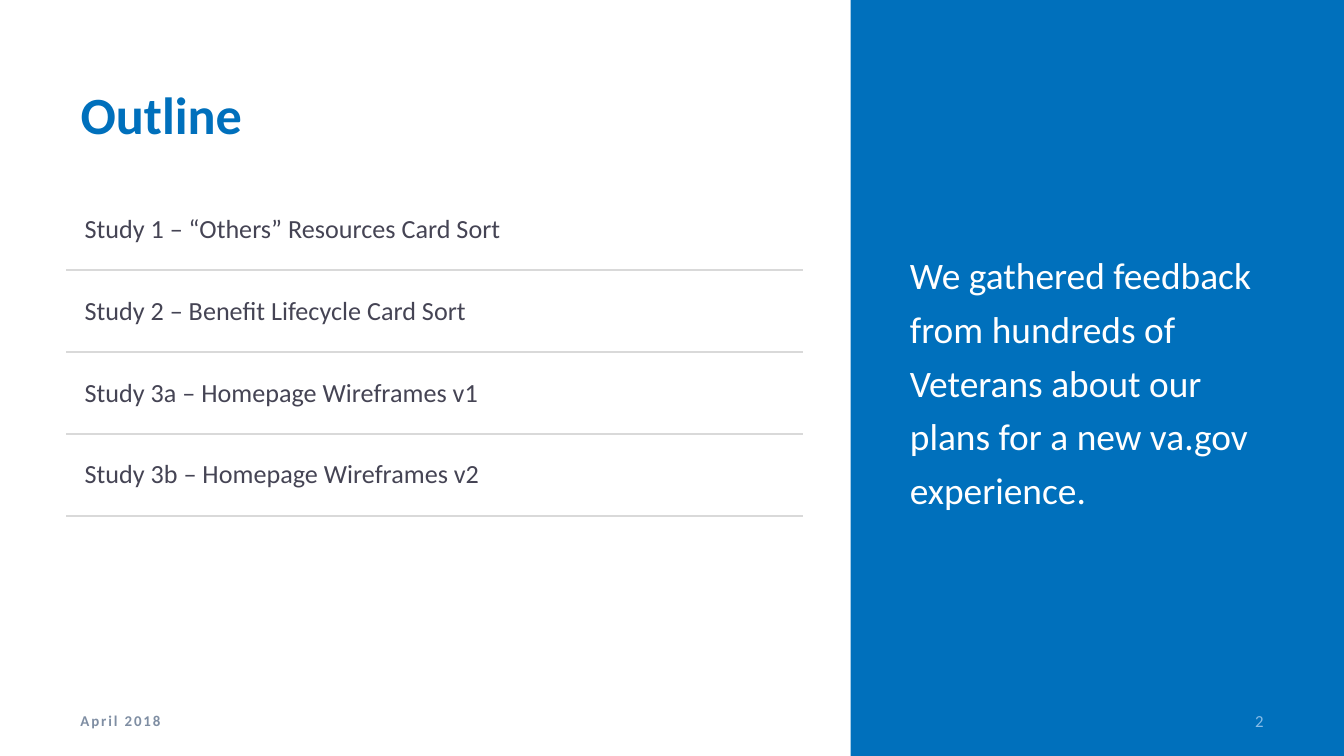
"""Build the study outline slide with a feedback statement panel."""
from pptx import Presentation, util as u
from pptx.dml.color import RGBColor
from pptx.enum import shapes, text
from pptx.oxml import parse_xml
from pptx.oxml.ns import nsdecls

WIDTH = 10
HEIGHT = WIDTH * 9 / 16
BLUE, WHITE, RULE = "0070BC", "FFFFFF", "D9D9D9"
TOP, MIDDLE = text.MSO_ANCHOR.TOP, text.MSO_ANCHOR.MIDDLE
STUDIES = [
    "Study 1 – “Others” Resources Card Sort",
    "Study 2 – Benefit Lifecycle Card Sort",
    "Study 3a – Homepage Wireframes v1",
    "Study 3b – Homepage Wireframes v2",
]


def rgb(value):
    return RGBColor.from_string(value)


def write(tf, words, size, color, font="Calibri", bold=False,
          align=text.PP_ALIGN.LEFT, spacing=None, after=None, track=None):
    p = tf.paragraphs[0]
    p.alignment = align
    if spacing is not None:
        p.line_spacing = spacing
    if after is not None:
        p.space_after = u.Pt(after)
    r = p.add_run()
    r.text = words
    r.font.name, r.font.size, r.font.bold = font, u.Pt(size), bold
    r.font.color.rgb = rgb(color)
    if track is not None:
        r._r.get_or_add_rPr().set("spc", str(track * 100))
    return p


class Deck:
    def __init__(self, width, height, font="Calibri"):
        self.prs = Presentation()
        self.prs.slide_width, self.prs.slide_height = u.Inches(width), u.Inches(height)
        self.font = font
        self.s = self.prs.slides.add_slide(self.prs.slide_layouts[1])

    def panel(self, box, color):
        sp = self.s.shapes.add_shape(shapes.MSO_SHAPE.RECTANGLE, *map(u.Inches, box))
        sp.shadow.inherit = False
        sp.fill.solid()
        sp.fill.fore_color.rgb = rgb(color)
        sp.line.fill.background()
        tree = self.s.shapes._spTree
        tree.remove(sp._element)
        tree.insert(2, sp._element)

    def fill_frame(self, sp, words, size, color, anchor=MIDDLE, **fmt):
        tf = sp.text_frame
        tf.word_wrap, tf.auto_size = True, text.MSO_AUTO_SIZE.NONE
        tf.vertical_anchor = anchor
        return write(tf, words, size, color, font=self.font, **fmt)

    def placeholder(self, idx, box, words, size, color, **fmt):
        sp = self.s.placeholders[idx]
        sp.left, sp.top, sp.width, sp.height = map(u.Inches, box)
        return self.fill_frame(sp, words, size, color, **fmt)

    def title(self, box, words, size, color):
        self.placeholder(0, box, words, size, color, anchor=TOP, bold=True)

    def body(self, box, words, size, color, **fmt):
        pPr = self.placeholder(1, box, words, size, color, **fmt)._p.get_or_add_pPr()
        pPr.set("marL", "0")
        pPr.set("indent", "0")
        pPr.append(parse_xml(f"<a:buNone {nsdecls('a')}/>"))

    def label(self, box, words, size, color, **fmt):
        sp = self.s.shapes.add_textbox(*map(u.Inches, box))
        self.fill_frame(sp, words, size, color, **fmt)

    def border(self, cell, side, color):
        cell._tc.get_or_add_tcPr().append(parse_xml(
            f'<a:ln{side} {nsdecls("a")} w="12700"><a:solidFill>'
            f'<a:srgbClr val="{color}"/></a:solidFill></a:ln{side}>'))

    def table(self, left, top, widths, row_height, rows, size, color):
        box = left, top, sum(widths), row_height * len(rows)
        tbl = self.s.shapes.add_table(len(rows), len(widths), *map(u.Inches, box)).table
        tbl.first_row = tbl.horz_banding = False
        for col, width in zip(tbl.columns, widths):
            col.width = u.Inches(width)
        for i, words in enumerate(rows):
            tbl.rows[i].height = u.Inches(row_height)
            for cell in tbl.rows[i].cells:
                cell.vertical_anchor = MIDDLE
                cell.margin_left = cell.margin_right = u.Inches(0.13)
                edges = {"L": WHITE, "R": WHITE, "T": RULE if i else WHITE, "B": RULE}
                for side, edge in edges.items():
                    self.border(cell, side, edge)
                cell.fill.background()
            write(tbl.cell(i, 0).text_frame, words, size, color, font=self.font)


def main():
    d = Deck(WIDTH, HEIGHT)
    d.panel((6.33, 0, 3.67, HEIGHT), BLUE)
    d.title((0.5, 0.56, 5.46, 0.71), "Outline", 28, BLUE)
    d.table(0.5, 1.4, (4.39, 1.08), 0.61, STUDIES, 14, "454454")
    d.body((6.67, 0.56, 2.83, 4.5),
           "We gathered feedback from hundreds of Veterans about our plans "
           "for a new va.gov experience.", 20, WHITE, spacing=1.2, after=6)
    d.label((8.75, 5.21, 0.75, 0.3), "2", 9, "89BDE8", align=text.PP_ALIGN.RIGHT)
    d.label((0.5, 5.21, 2.25, 0.3), "April 2018", 8, "7F8EA3", bold=True, track=1)
    d.prs.save("out.pptx")


if __name__ == "__main__":
    main()
